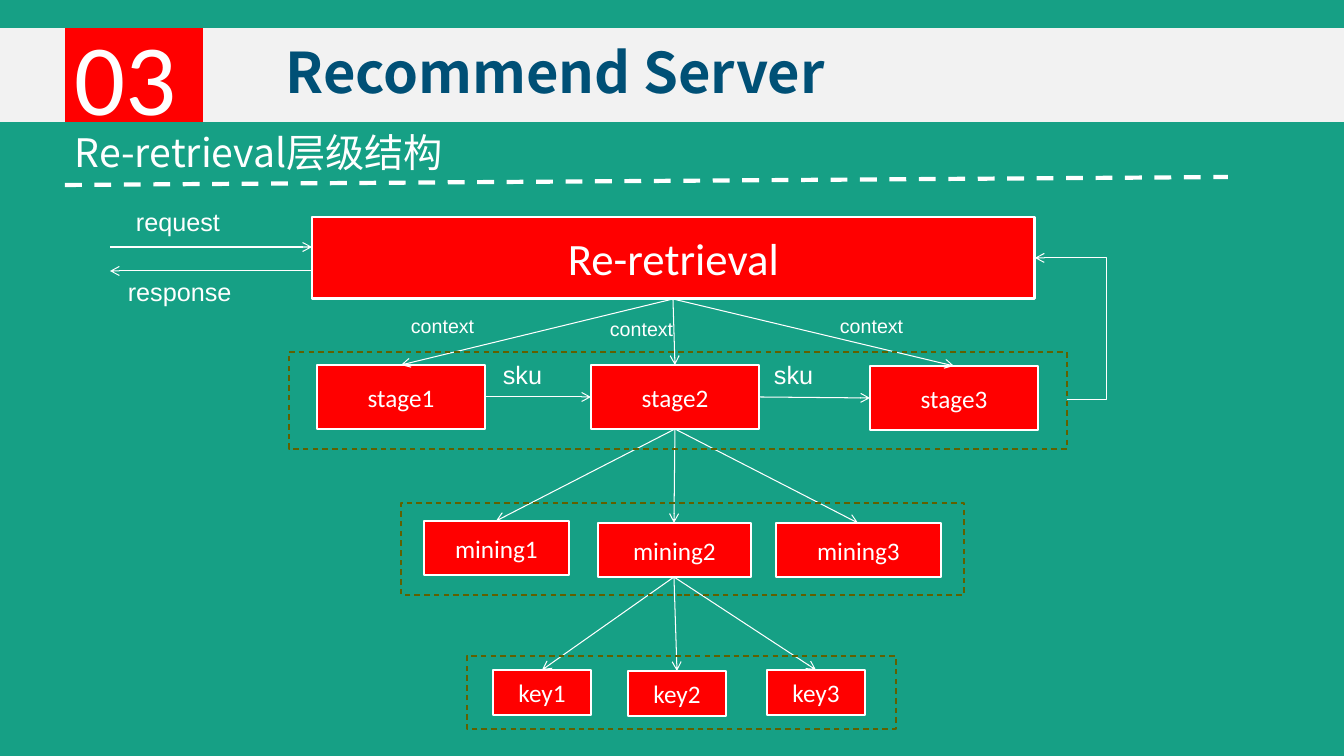
"""Build the Recommend Server slide showing the Re-retrieval hierarchy."""
from dataclasses import dataclass

from lxml.etree import SubElement
from pptx import Presentation
from pptx.dml.color import RGBColor
from pptx.enum.dml import MSO_LINE
from pptx.enum.shapes import MSO_CONNECTOR, MSO_SHAPE
from pptx.enum.text import MSO_ANCHOR, PP_ALIGN
from pptx.oxml.ns import qn
from pptx.util import Emu, Pt

EMU_PER_PX = 914400 / 100.8
COLORS = {
    "background": "16A085",
    "red": "FF0000",
    "white": "FFFFFF",
    "band": "F2F2F2",
    "frame": "606000",
    "title": "005076",
}
HEADING_FONT = "Noto Sans CJK SC"


@dataclass(frozen=True)
class Box:
    left: int
    top: int
    width: int
    height: int
    text: str = ""
    size: int = 18

    @property
    def center_x(self) -> int:
        return self.left + self.width // 2

    @property
    def center_y(self) -> int:
        return self.top + self.height // 2

    @property
    def right(self) -> int:
        return self.left + self.width

    @property
    def bottom(self) -> int:
        return self.top + self.height


ROOT = Box(312, 217, 723, 82, "Re-retrieval", 32)
STAGES = [
    Box(317, 365, 168, 64, "stage1"),
    Box(591, 365, 168, 64, "stage2"),
    Box(870, 366, 168, 64, "stage3"),
]
MININGS = [
    Box(424, 521, 145, 54, "mining1"),
    Box(598, 523, 153, 54, "mining2"),
    Box(776, 523, 165, 54, "mining3"),
]
KEYS = [
    Box(493, 670, 98, 45, "key1"),
    Box(628, 671, 98, 45, "key2"),
    Box(767, 670, 98, 45, "key3"),
]
STAGE_FRAME = Box(289, 352, 778, 97)
FRAMES = [STAGE_FRAME, Box(401, 503, 563, 92), Box(467, 656, 429, 73)]
LABELS = [
    Box(126, 201, 163, 40, "request"),
    Box(118, 271, 195, 40, "response"),
    Box(401, 309, 134, 34, "context", 14),
    Box(600, 312, 134, 34, "context", 14),
    Box(830, 309, 134, 34, "context", 14),
    Box(493, 354, 98, 40, "sku"),
    Box(764, 354, 98, 40, "sku"),
]
SUBTITLE = Box(65, 123, 474, 57, "Re-retrieval层级结构", 28)
BAND = Box(0, 28, 276, 94)
NUMBER = Box(65, 28, 138, 94, "03", 72)
TITLE = Box(276, 28, 1068, 94, "Recommend Server", 40)


def px(length: int) -> Emu:
    return Emu(round(length * EMU_PER_PX))


def color(name: str) -> RGBColor:
    return RGBColor.from_string(COLORS[name])


def write(shape, text: str, *, size: int, font: str, ink: str = "white", bold: bool = False,
          align=PP_ALIGN.LEFT, anchor=MSO_ANCHOR.MIDDLE, spacing: float | None = None) -> None:
    frame = shape.text_frame
    frame.word_wrap = True
    frame.vertical_anchor = anchor
    paragraph = frame.paragraphs[0]
    paragraph.alignment = align
    paragraph.line_spacing = spacing
    run = paragraph.add_run()
    run.text = text
    run.font.size = Pt(size)
    run.font.name = font
    run.font.bold = bold
    run.font.color.rgb = color(ink)
    SubElement(run.font._element, qn("a:ea"), typeface=font)


def add_rectangle(slide, box: Box, fill: str | None = None, line: str | None = None,
                  width: float = 2, dashed: bool = False):
    shape = slide.shapes.add_shape(
        MSO_SHAPE.RECTANGLE, px(box.left), px(box.top), px(box.width), px(box.height))
    shape.shadow.inherit = False
    if fill:
        shape.fill.solid()
        shape.fill.fore_color.rgb = color(fill)
    else:
        shape.fill.background()
    if line:
        shape.line.color.rgb = color(line)
        shape.line.width = Pt(width)
        if dashed:
            shape.line.dash_style = MSO_LINE.DASH
    else:
        shape.line.fill.background()
    return shape


def add_node(slide, box: Box) -> None:
    shape = add_rectangle(slide, box, fill="red", line="white")
    write(shape, box.text, size=box.size, font="Calibri", align=PP_ALIGN.CENTER)


def add_label(slide, box: Box, font: str) -> None:
    shape = slide.shapes.add_textbox(px(box.left), px(box.top), px(box.width), px(box.height))
    write(shape, box.text, size=box.size, font=font, anchor=MSO_ANCHOR.TOP)


def add_line(slide, start: tuple[int, int], end: tuple[int, int], *,
             kind=MSO_CONNECTOR.STRAIGHT, width: float = 0.75):
    connector = slide.shapes.add_connector(kind, *map(px, start + end))
    connector.line.color.rgb = color("white")
    connector.line.width = Pt(width)
    SubElement(connector._element.spPr, qn("a:effectLst"))
    return connector


def add_arrow(slide, start: tuple[int, int], end: tuple[int, int], kind=MSO_CONNECTOR.STRAIGHT):
    connector = add_line(slide, start, end, kind=kind)
    SubElement(connector.line._get_or_add_ln(), qn("a:tailEnd"), type="arrow")
    return connector


def add_fan(slide, parent: Box, children: list[Box]) -> None:
    for child in children:
        add_arrow(slide, (parent.center_x, parent.bottom), (child.center_x, child.top))


def add_return_arrow(slide, start: tuple[int, int], end: tuple[int, int], bend_x: int) -> None:
    connector = add_arrow(slide, start, end, MSO_CONNECTOR.ELBOW)
    bend = round(100000 * (bend_x - start[0]) / (end[0] - start[0]))
    guides = connector._element.spPr.find(qn("a:prstGeom")).get_or_add_avLst()
    SubElement(guides, qn("a:gd"), name="adj1", fmla=f"val {bend}")


def draw_hierarchy(slide) -> None:
    for node in [ROOT, *STAGES, *MININGS, *KEYS]:
        add_node(slide, node)
    for parent, children in [(ROOT, STAGES), (STAGES[1], MININGS), (MININGS[1], KEYS)]:
        add_fan(slide, parent, children)
    for source, target in zip(STAGES, STAGES[1:]):
        add_arrow(slide, (source.right, source.center_y), (target.left, target.center_y))
    add_arrow(slide, (110, 247), (ROOT.left, 247))
    add_arrow(slide, (ROOT.left, 271), (110, 271))
    for label in LABELS:
        add_label(slide, label, "Arial")
    for frame in FRAMES:
        add_rectangle(slide, frame, line="frame", width=1, dashed=True)
    add_return_arrow(slide, (STAGE_FRAME.right, STAGE_FRAME.center_y),
                     (ROOT.right, ROOT.center_y), 1107)


def draw_heading(slide) -> None:
    add_label(slide, SUBTITLE, HEADING_FONT)
    add_rectangle(slide, BAND, fill="band")
    number = add_rectangle(slide, NUMBER, fill="red")
    write(number, NUMBER.text, size=NUMBER.size, font="Calibri")
    title = add_rectangle(slide, TITLE, fill="band")
    write(title, TITLE.text, size=TITLE.size, font=HEADING_FONT, ink="title", bold=True, spacing=0.9)
    rule = add_line(slide, (65, 185), (1228, 177), width=3)
    rule.line.dash_style = MSO_LINE.DASH


def main() -> None:
    presentation = Presentation()
    presentation.slide_width, presentation.slide_height = px(1344), px(756)
    slide = presentation.slides.add_slide(presentation.slide_layouts[6])
    slide.background.fill.solid()
    slide.background.fill.fore_color.rgb = color("background")
    draw_hierarchy(slide)
    draw_heading(slide)
    presentation.save("out.pptx")


if __name__ == "__main__":
    main()
